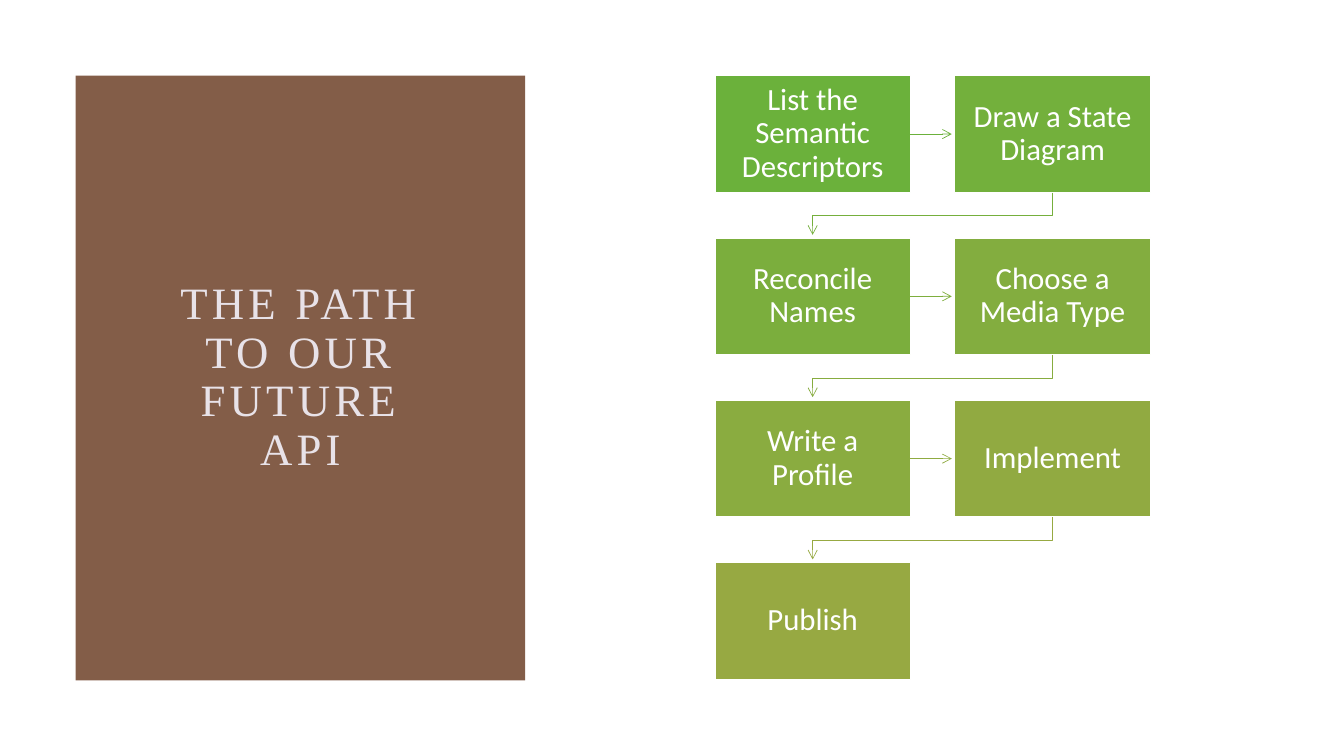
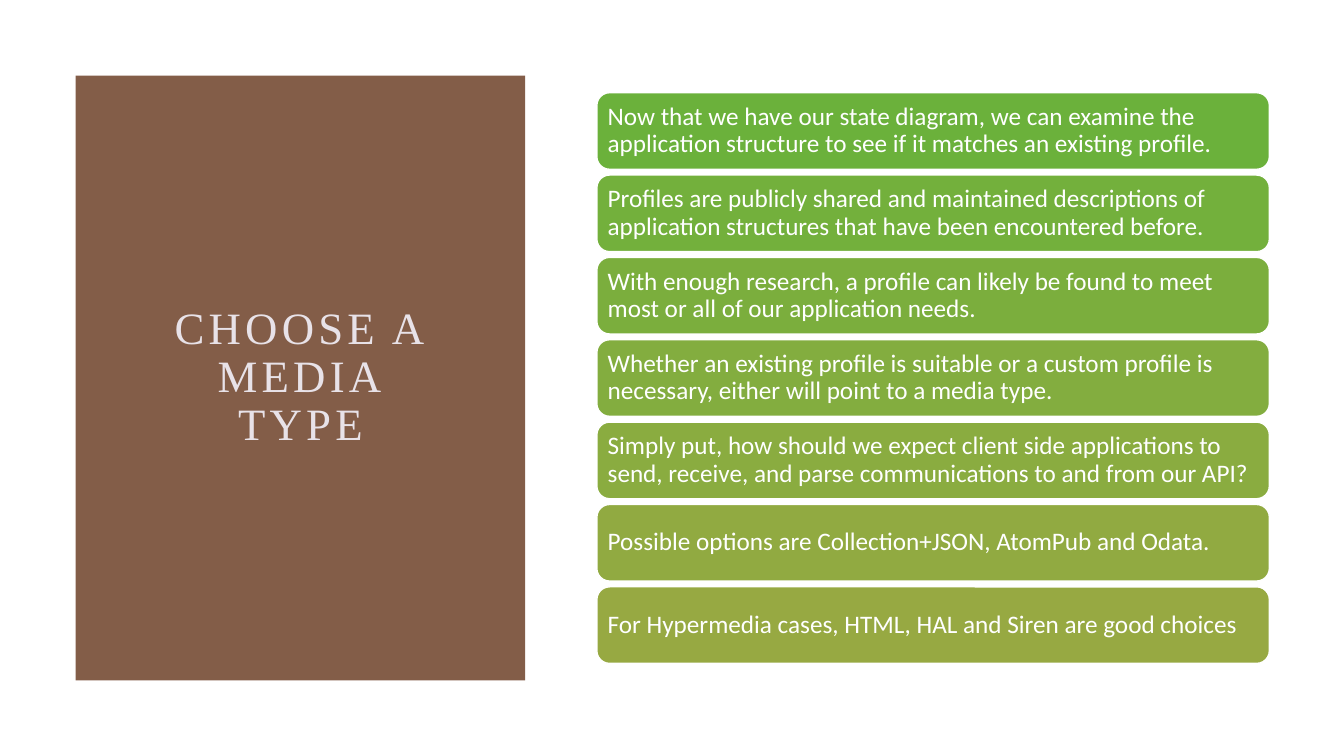
from lxml import etree
from pptx import Presentation
from pptx.dml.color import RGBColor
from pptx.enum.shapes import MSO_CONNECTOR, MSO_SHAPE
from pptx.enum.text import MSO_ANCHOR, PP_ALIGN
from pptx.oxml.ns import qn
from pptx.util import Inches, Pt

RECT, ROUNDED = MSO_SHAPE.RECTANGLE, MSO_SHAPE.ROUNDED_RECTANGLE
STRAIGHT = MSO_CONNECTOR.STRAIGHT
LEFT, CENTER = PP_ALIGN.LEFT, PP_ALIGN.CENTER
MIDDLE = MSO_ANCHOR.MIDDLE

COLORS = {
    "panel": "835D48", "title": "E8E2E8", "white": "FFFFFF",
    "box1": "6BB13B", "box2": "73B03C", "box3": "7BAE3D", "box4": "83AD3F",
    "box5": "8AAC40", "box6": "91AA41", "box7": "97A942",
    "arrow1": "6BB13B", "arrow2": "75AF3C", "arrow3": "7EAE3E",
    "arrow4": "87AC3F", "arrow5": "8FAB41", "arrow6": "97A942",
}
TITLE_FONT, BODY_FONT = "Times New Roman", "Calibri"

STEPS = [
    "List the Semantic Descriptors",
    "Draw a State Diagram",
    "Reconcile Names",
    "Choose a Media Type",
    "Write a Profile",
    "Implement",
    "Publish",
]
STEP_X, STEP_Y, STEP_W, STEP_H = 7.09, 0.75, 1.94, 1.16
STEP_DX, STEP_DY = 2.38, 1.61

POINTS = [
    "Now that we have our state diagram, we can examine the application "
    "structure to see if it matches an existing profile.",
    "Profiles are publicly shared and maintained descriptions of application "
    "structures that have been encountered before.",
    "With enough research, a profile can likely be found to meet most or all "
    "of our application needs.",
    "Whether an existing profile is suitable or a custom profile is necessary, "
    "either will point to a media type.",
    "Simply put, how should we expect client side applications to send, "
    "receive, and parse communications to and from our API?",
    "Possible options are Collection+JSON, AtomPub and Odata.",
    "For Hypermedia cases, HTML, HAL and Siren are good choices",
]
POINT_X, POINT_Y, POINT_W, POINT_H = 5.92, 0.92, 6.67, 0.76
POINT_DY = 0.817


def rgb(name):
    """Return the named colour."""
    return RGBColor.from_string(COLORS[name])


def write(sp, text, size, font=BODY_FONT, color="white", align=CENTER,
          inset=0.1, spacing=0):
    """Put formatted, vertically centred text in a shape."""
    tf = sp.text_frame
    tf.word_wrap = True
    tf.vertical_anchor = MIDDLE
    tf.margin_left = tf.margin_right = Inches(inset)
    tf.margin_top = tf.margin_bottom = Inches(min(inset, 0.07))
    p = tf.paragraphs[0]
    p.text = text
    p.alignment = align
    p.line_spacing = 0.9
    for r in p.runs:
        r.font.name = font
        r.font.size = Pt(size)
        r.font.color.rgb = rgb(color)
        if spacing:
            r.font._element.set("spc", str(spacing * 100))


def add_box(s, kind, x, y, w, h, fill, line=None):
    """Add a filled preset shape."""
    sp = s.shapes.add_shape(kind, Inches(x), Inches(y), Inches(w), Inches(h))
    sp.shadow.inherit = False
    sp.fill.solid()
    sp.fill.fore_color.rgb = rgb(fill)
    if line:
        sp.line.color.rgb = rgb(line)
        sp.line.width = Pt(1)
    else:
        sp.line.fill.background()
    return sp


def add_arrow(s, points, color):
    """Add a thin arrow through two or more points."""
    pts = [(Inches(x), Inches(y)) for x, y in points]
    if len(pts) == 2:
        sp = s.shapes.add_connector(STRAIGHT, *pts[0], *pts[1])
    else:
        builder = s.shapes.build_freeform(*pts[0])
        builder.add_line_segments(pts[1:], close=False)
        sp = builder.convert_to_shape()
        sp.fill.background()
    sp.line.color.rgb = rgb(color)
    sp.line.width = Pt(0.5)
    etree.SubElement(sp.line._get_or_add_ln(), qn("a:tailEnd"), type="arrow")
    etree.SubElement(sp._element.spPr, qn("a:effectLst"))


def add_titled_slide(prs, title):
    """Add a blank slide with the title panel on its left."""
    s = prs.slides.add_slide(prs.slide_layouts[6])
    add_box(s, RECT, 0.75, 0.75, 4.46, 6, "panel")
    sp = s.shapes.add_textbox(Inches(1.5), Inches(1.5), Inches(2.96), Inches(4.5))
    write(sp, title, 32, font=TITLE_FONT, color="title", spacing=3)
    return s


def add_steps(s):
    """Draw the steps in two columns, joined by arrows."""
    for i, text in enumerate(STEPS):
        row, col = divmod(i, 2)
        x, y = STEP_X + col * STEP_DX, STEP_Y + row * STEP_DY
        sp = add_box(s, RECT, x, y, STEP_W, STEP_H, f"box{i + 1}", "white")
        write(sp, text, 22)
        if i == len(STEPS) - 1:
            continue
        mid, bottom = x + STEP_W / 2, y + STEP_H
        if col == 0:
            right, level = x + STEP_W, y + STEP_H / 2
            points = [(right, level), (right + 0.41, level)]
        else:
            turn, below = bottom + 0.23, mid - STEP_DX
            points = [(mid, bottom), (mid, turn), (below, turn),
                      (below, bottom + 0.42)]
        add_arrow(s, points, f"arrow{i + 1}")


def add_points(s):
    """Stack the points as rounded bars."""
    for i, text in enumerate(POINTS):
        sp = add_box(s, ROUNDED, POINT_X, POINT_Y + i * POINT_DY, POINT_W,
                     POINT_H, f"box{i + 1}", "white")
        write(sp, text, 18, align=LEFT, inset=0.07)


def main():
    """Build and save the presentation."""
    prs = Presentation()
    prs.slide_width, prs.slide_height = Inches(13.33), Inches(7.5)
    add_steps(add_titled_slide(prs, "THE PATH TO OUR FUTURE\vAPI"))
    add_points(add_titled_slide(prs, "CHOOSE A MEDIA TYPE"))
    prs.save("out.pptx")


if __name__ == "__main__":
    main()
